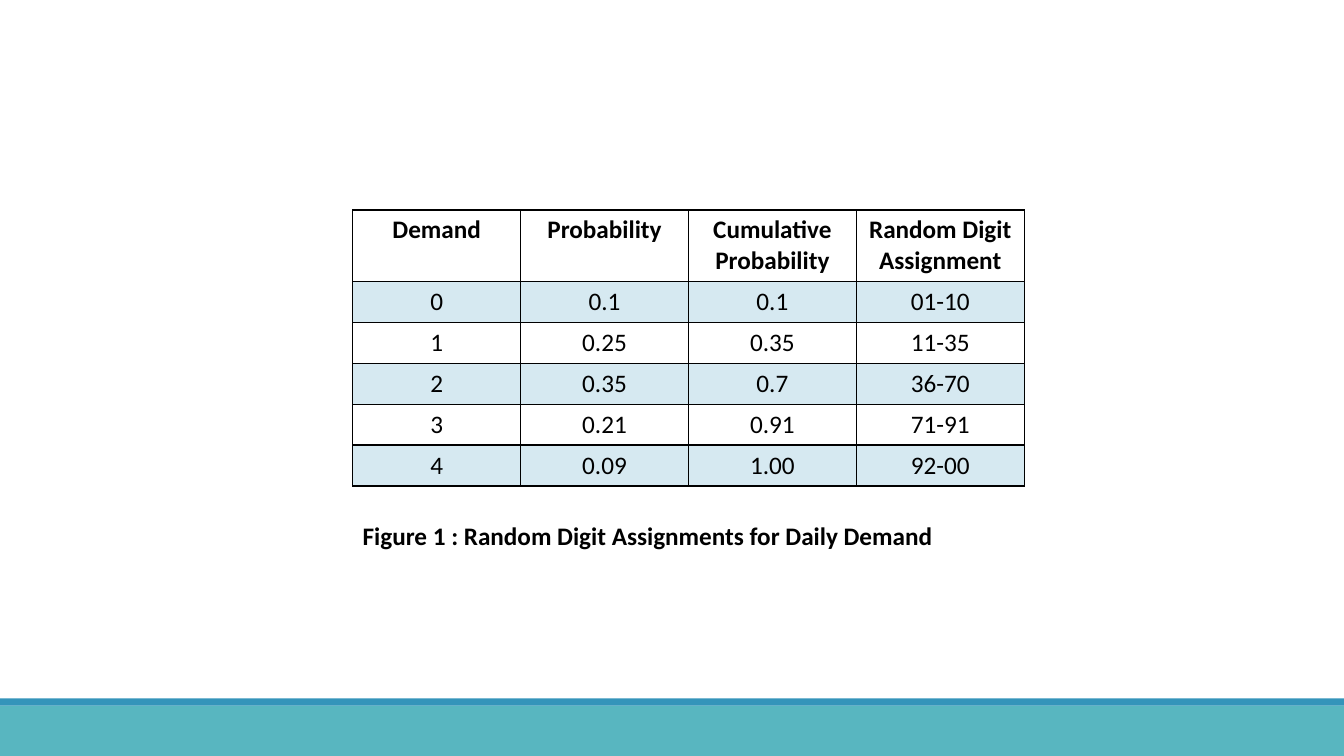
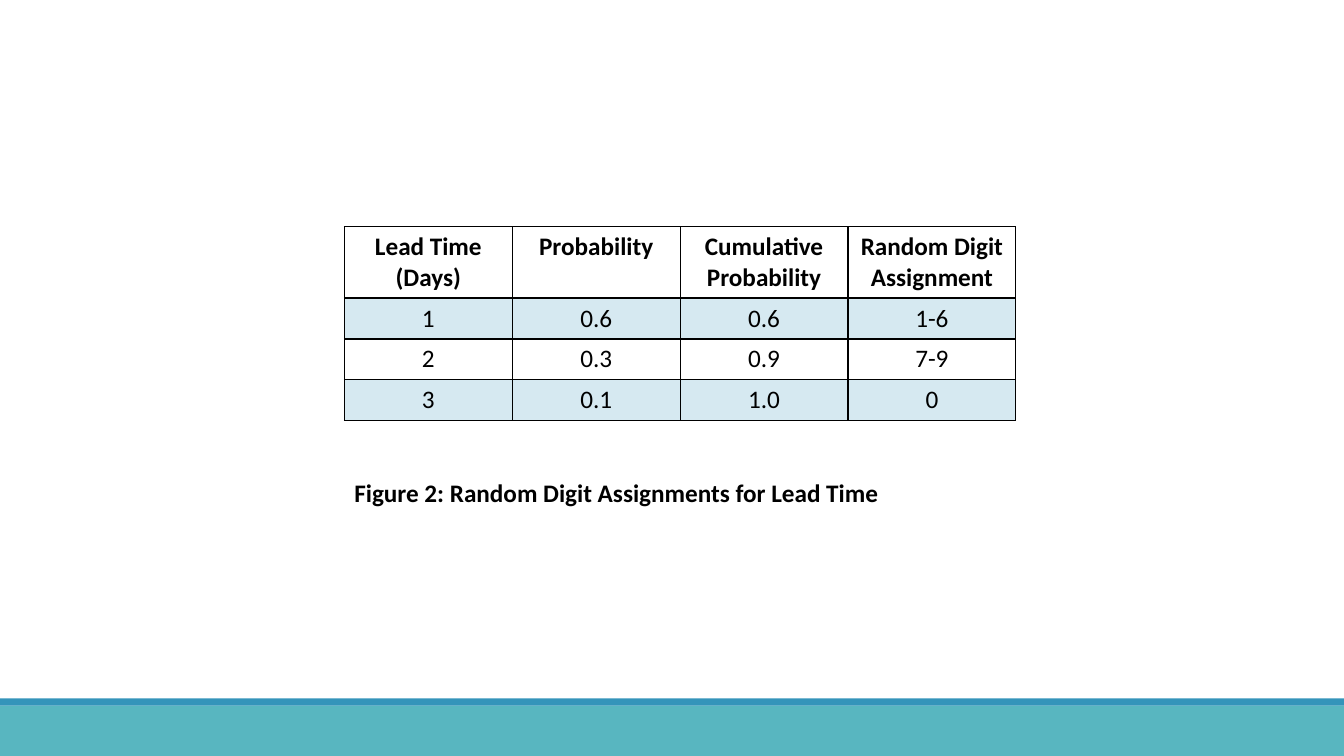
from dataclasses import dataclass

from lxml import etree
from pptx import Presentation
from pptx.dml.color import RGBColor
from pptx.enum.shapes import MSO_SHAPE
from pptx.enum.text import MSO_AUTO_SIZE, PP_ALIGN
from pptx.oxml.ns import qn
from pptx.slide import Slide
from pptx.table import _Cell
from pptx.text.text import _Paragraph
from pptx.util import Cm, Pt

RECTANGLE = MSO_SHAPE.RECTANGLE
CENTER, LEFT = PP_ALIGN.CENTER, PP_ALIGN.LEFT
FIT_SHAPE = MSO_AUTO_SIZE.SHAPE_TO_FIT_TEXT


@dataclass(frozen=True)
class Theme:
    blue: RGBColor = RGBColor(0x34, 0x94, 0xBA)
    teal: RGBColor = RGBColor(0x58, 0xB6, 0xC0)
    ink: RGBColor = RGBColor(0, 0, 0)
    font: str = "Calibri"
    text_size: int = 18
    border_width: int = 1
    stripe_opacity: int = 20


@dataclass(frozen=True)
class Band:
    top: float
    height: float
    color: RGBColor


@dataclass(frozen=True)
class TableSlide:
    left: float
    table_top: float
    caption_top: float
    caption: str
    rows: tuple[tuple[str, ...], ...]


THEME = Theme()

# Lengths in centimetres
SLIDE_WIDTH, SLIDE_HEIGHT = 33.87, 19.05
COLUMN_WIDTH = 4.23
HEADER_HEIGHT, ROW_HEIGHT = 1.8, 1.03
CAPTION_WIDTH, CAPTION_HEIGHT = 19.66, 1.03

BANDS = (Band(17.78, 1.27, THEME.teal), Band(17.6, 0.18, THEME.blue))
SHARED_HEADERS = ("Probability", "Cumulative Probability", "Random Digit Assignment")

TABLE_SLIDES = (
    TableSlide(
        8.89, 5.29, 12.98, "Figure 1 : Random Digit Assignments for Daily Demand",
        (
            ("Demand", *SHARED_HEADERS),
            ("0", "0.1", "0.1", "01-10"),
            ("1", "0.25", "0.35", "11-35"),
            ("2", "0.35", "0.7", "36-70"),
            ("3", "0.21", "0.91", "71-91"),
            ("4", "0.09", "1.00", "92-00"),
        ),
    ),
    TableSlide(
        8.68, 5.71, 11.91, "Figure 2: Random Digit Assignments for Lead Time",
        (
            ("Lead Time (Days)", *SHARED_HEADERS),
            ("1", "0.6", "0.6", "1-6"),
            ("2", "0.3", "0.9", "7-9"),
            ("3", "0.1", "1.0", "0"),
        ),
    ),
)


def write_text(paragraph: _Paragraph, text: str, bold: bool, alignment: PP_ALIGN) -> None:
    paragraph.alignment = alignment
    run = paragraph.add_run()
    run.text = text
    font_format = {"name": THEME.font, "size": Pt(THEME.text_size), "bold": bold}
    for attribute, value in font_format.items():
        setattr(run.font, attribute, value)
    run.font.color.rgb = THEME.ink


def draw_band(slide: Slide, band: Band) -> None:
    shape = slide.shapes.add_shape(
        RECTANGLE, 0, Cm(band.top), Cm(SLIDE_WIDTH), Cm(band.height)
    )
    shape.shadow.inherit = False
    shape.fill.solid()
    shape.fill.fore_color.rgb = band.color
    shape.line.fill.background()


def fill_cell(cell: _Cell, striped: bool) -> None:
    if not striped:
        cell.fill.background()
        return
    cell.fill.solid()
    cell.fill.fore_color.rgb = THEME.blue
    color = cell._tc.tcPr.find(f"{qn('a:solidFill')}/{qn('a:srgbClr')}")
    etree.SubElement(color, qn("a:alpha"), val=str(THEME.stripe_opacity * 1000))


def draw_borders(cell: _Cell) -> None:
    properties = cell._tc.get_or_add_tcPr()
    # Borders must precede the fill in the cell properties
    for index, side in enumerate(("a:lnL", "a:lnR", "a:lnT", "a:lnB")):
        line = etree.Element(qn(side), w=str(Pt(THEME.border_width)))
        fill = etree.SubElement(line, qn("a:solidFill"))
        etree.SubElement(fill, qn("a:srgbClr"), val=str(THEME.ink))
        properties.insert(index, line)


def draw_table(slide: Slide, content: TableSlide) -> None:
    row_count, column_count = len(content.rows), len(content.rows[0])
    table = slide.shapes.add_table(
        row_count, column_count, Cm(content.left), Cm(content.table_top),
        Cm(COLUMN_WIDTH * column_count),
        Cm(HEADER_HEIGHT + ROW_HEIGHT * (row_count - 1)),
    ).table
    table_format = {"first_row": False, "horz_banding": False}
    for attribute, value in table_format.items():
        setattr(table, attribute, value)
    for column in table.columns:
        column.width = Cm(COLUMN_WIDTH)
    for row_index, values in enumerate(content.rows):
        is_header = row_index == 0
        table.rows[row_index].height = Cm(HEADER_HEIGHT if is_header else ROW_HEIGHT)
        for column_index, text in enumerate(values):
            cell = table.cell(row_index, column_index)
            write_text(cell.text_frame.paragraphs[0], text, is_header, CENTER)
            fill_cell(cell, striped=row_index % 2 == 1)
            draw_borders(cell)


def draw_caption(slide: Slide, content: TableSlide) -> None:
    text_frame = slide.shapes.add_textbox(
        Cm(content.left), Cm(content.caption_top), Cm(CAPTION_WIDTH), Cm(CAPTION_HEIGHT)
    ).text_frame
    frame_format = {"word_wrap": True, "auto_size": FIT_SHAPE}
    for attribute, value in frame_format.items():
        setattr(text_frame, attribute, value)
    write_text(text_frame.paragraphs[0], content.caption, True, LEFT)


def main() -> None:
    presentation = Presentation()
    presentation.slide_width = Cm(SLIDE_WIDTH)
    presentation.slide_height = Cm(SLIDE_HEIGHT)
    blank_layout = presentation.slide_layouts[6]

    for content in TABLE_SLIDES:
        slide = presentation.slides.add_slide(blank_layout)
        # Shared footer bands
        for band in BANDS:
            draw_band(slide, band)
        # Table with its caption
        draw_table(slide, content)
        draw_caption(slide, content)

    presentation.save("out.pptx")


main()
